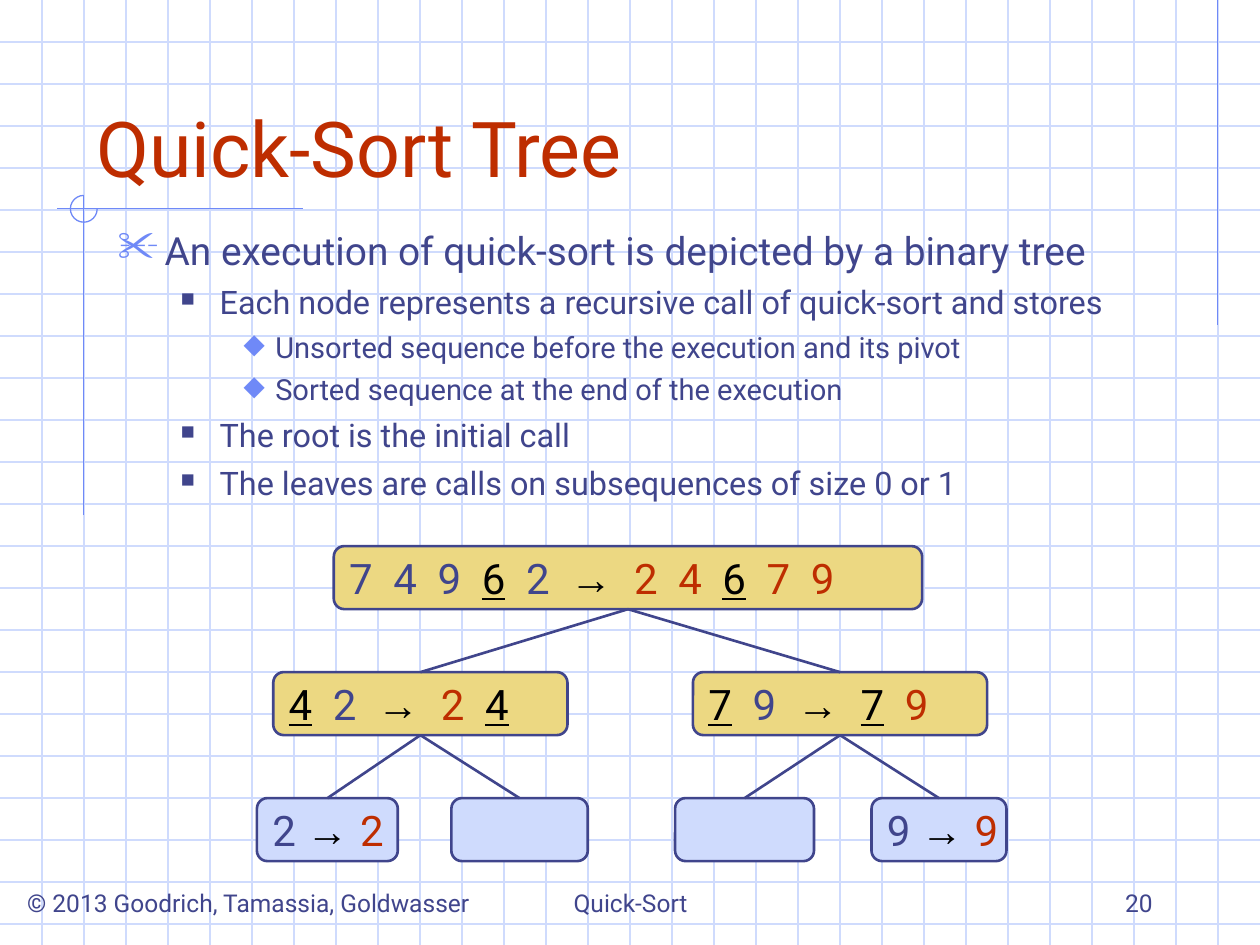
from lxml import etree
from pptx import Presentation
from pptx.dml.color import RGBColor
from pptx.enum.shapes import MSO_CONNECTOR, MSO_SHAPE
from pptx.enum.text import MSO_ANCHOR, PP_ALIGN
from pptx.oxml.ns import qn
from pptx.util import Cm, Pt

STRAIGHT = MSO_CONNECTOR.STRAIGHT
ROUNDED, ARC = MSO_SHAPE.ROUNDED_RECTANGLE, MSO_SHAPE.ARC
TOP, MIDDLE, BOTTOM = MSO_ANCHOR.TOP, MSO_ANCHOR.MIDDLE, MSO_ANCHOR.BOTTOM
LEFT, CENTER, RIGHT = PP_ALIGN.LEFT, PP_ALIGN.CENTER, PP_ALIGN.RIGHT

THEME = {
    "font": "Roboto", "arrow_font": "Arial", "bullet_font": "OpenSymbol",
    "title_size": 44, "node_size": 24, "footer_size": 14,
    "text": "40458C", "red": "BE2D00", "pivot": "000000",
    "accent": "6F89F7", "grid": "CFDBFD",
    "inner_node": "ECD882", "leaf_node": "CFDBFD",
}

TITLE = "Quick-Sort Tree"
BULLETS = [  # level, text
    (0, "An execution of quick-sort is depicted by a binary tree"),
    (1, "Each node represents a recursive call of quick-sort and stores"),
    (2, "Unsorted sequence before the execution and its pivot"),
    (2, "Sorted sequence at the end of the execution"),
    (1, "The root is the initial call"),
    (1, "The leaves are calls on subsequences of size 0 or 1"),
]
LEVELS = [  # size pt, space before pt, indent cm, hang cm, bullet, colour, percent
    (22.2, 6, 0.95, 0.95, "✂", THEME["accent"], 110),
    (18.5, 5, 2.06, 0.79, "■", THEME["text"], 60),
    (16.6, 4.5, 3.18, 0.64, "◆", THEME["accent"], 95),
]
FOOTERS = [  # text, box in cm, alignment, anchor, wrap
    ("© 2013 Goodrich, Tamassia, Goldwasser", (0.08, 17.78, 9.86, 0.86), CENTER, TOP, False),
    ("Quick-Sort", (8.69, 17.35, 8.05, 1.27), CENTER, BOTTOM, True),
    ("20", (18.21, 17.35, 5.28, 1.27), RIGHT, BOTTOM, True),
]
NODES = {  # name: parent, depth, left cm, width cm, unsorted, pivot, sorted
    "root": (None, 0, 6.73, 11.86, "74962", "6", "24679"),
    "low": ("root", 1, 5.51, 5.93, "42", "4", "24"),
    "high": ("root", 1, 13.97, 5.93, "79", "7", "79"),
    "low left": ("low", 2, 5.18, 2.84, "2", None, "2"),
    "low right": ("low", 2, 9.1, 2.75, "", None, ""),
    "high left": ("high", 2, 13.61, 2.8, "", None, ""),
    "high right": ("high", 2, 17.57, 2.72, "9", None, "9"),
}
WIDTH, HEIGHT = 25.4, 19.05
GRID_STEP = WIDTH / 30
TREE_TOP, ROW_STEP, NODE_HEIGHT = 11.01, 2.54, 1.27
NODE_GAP = 5.8  # extra points between the numbers of an inner node
RULES = [  # accent lines: x1, y1, x2, y2
    (24.55, 0, 24.55, 6.55),
    (6.1, 4.21, 1.14, 4.21),
    (1.69, 3.94, 1.69, 10.39),
]


def rgb(name):
    return RGBColor.from_string(THEME[name])


def style(font, size, color, name=THEME["font"]):
    font.size, font.name = Pt(size), name
    font.color.rgb = rgb(color)


def add_line(s, x1, y1, x2, y2, color, width=0.75):
    line = s.shapes.add_connector(STRAIGHT, Cm(x1), Cm(y1), Cm(x2), Cm(y2))
    line.line.color.rgb, line.line.width = rgb(color), Pt(width)
    etree.SubElement(line._element.spPr, qn("a:effectLst"))
    return line


def add_background(s):
    for i in range(1, 23):
        add_line(s, 0, i * GRID_STEP, WIDTH, i * GRID_STEP, "grid")
    for i in range(1, 30):
        add_line(s, i * GRID_STEP, 0, i * GRID_STEP, HEIGHT, "grid")
    for rule in RULES:
        add_line(s, *rule, "accent")
    arc = s.shapes.add_shape(ARC, Cm(1.42), Cm(3.94), Cm(0.54), Cm(0.54))
    arc.adjustments[0], arc.adjustments[1] = 0, 162  # three quarters of a turn
    arc.shadow.inherit = False
    arc.fill.background()
    arc.line.color.rgb, arc.line.width = rgb("accent"), Pt(0.75)


def add_title(s):
    sp = s.shapes.title
    s.shapes._spTree.append(sp._element)  # in front of the grid
    sp.left, sp.top, sp.width, sp.height = Cm(1.69), Cm(0.85), Cm(21.59), Cm(3.17)
    tf = sp.text_frame
    tf.text, tf.vertical_anchor = TITLE, BOTTOM
    tf.paragraphs[0].alignment = LEFT
    style(tf.paragraphs[0].runs[0].font, THEME["title_size"], "red")


def add_bullets(s):
    tf = s.shapes.add_textbox(Cm(2.12), Cm(4.45), Cm(22.01), Cm(6.35)).text_frame
    tf.word_wrap = True
    for i, (level, text) in enumerate(BULLETS):
        size, before, indent, hang, char, color, percent = LEVELS[level]
        p = tf.add_paragraph() if i else tf.paragraphs[0]
        p.text, p.level = text, level
        p.space_before = Pt(before if i else 0)
        pPr = p._p.get_or_add_pPr()
        pPr.set("marL", str(Cm(indent)))
        pPr.set("indent", str(-Cm(hang)))
        clr = etree.SubElement(pPr, qn("a:buClr"))
        etree.SubElement(clr, qn("a:srgbClr"), val=color)
        etree.SubElement(pPr, qn("a:buSzPct"), val=str(percent * 1000))
        etree.SubElement(pPr, qn("a:buFont"), typeface=THEME["bullet_font"])
        etree.SubElement(pPr, qn("a:buChar"), char=char)
        style(p.runs[0].font, size, "text")


def add_footers(s):
    for text, box, align, anchor, wrap in FOOTERS:
        tf = s.shapes.add_textbox(*map(Cm, box)).text_frame
        tf.text, tf.word_wrap, tf.vertical_anchor = text, wrap, anchor
        tf.paragraphs[0].alignment = align
        style(tf.paragraphs[0].runs[0].font, THEME["footer_size"], "text")


def write_sequences(p, before, pivot, after):
    """Write 'unsorted → sorted' with the pivot underlined."""
    tokens = [(n, "text") for n in before] + [("→", "pivot")] + [(n, "red") for n in after]
    for i, (token, color) in enumerate(tokens):
        is_arrow, is_pivot = token == "→", token == pivot
        name = THEME["arrow_font" if is_arrow else "font"]
        for text in (token, " ")[:1 if i == len(tokens) - 1 else 2]:
            r = p.add_run()
            r.text = text
            style(r.font, THEME["node_size"], "pivot" if is_pivot else color, name)
            r.font.bold = is_arrow
            r.font.underline = is_pivot and text == token
            if text == " " and pivot:
                r.font._element.set("spc", str(round(NODE_GAP * 100)))


def add_tree(s):
    shapes = {}
    for name, (parent, depth, left, width, before, pivot, after) in NODES.items():
        sp = s.shapes.add_shape(ROUNDED, Cm(left), Cm(TREE_TOP + depth * ROW_STEP),
                                Cm(width), Cm(NODE_HEIGHT))
        sp.shadow.inherit = False
        sp.fill.solid()
        sp.fill.fore_color.rgb = rgb("inner_node" if pivot else "leaf_node")
        sp.line.color.rgb, sp.line.width = rgb("text"), Pt(1.5)
        shapes[name] = sp
        if before:
            tf = sp.text_frame
            tf.word_wrap, tf.vertical_anchor = False, MIDDLE
            tf.paragraphs[0].alignment = LEFT
            write_sequences(tf.paragraphs[0], before, pivot, after)
    for name, (parent, *_) in NODES.items():
        if parent:
            line = add_line(s, 0, 0, 1, 1, "text", 1.5)
            line.begin_connect(shapes[parent], 2)  # bottom centre
            line.end_connect(shapes[name], 0)  # top centre


def main():
    prs = Presentation()
    prs.slide_width, prs.slide_height = Cm(WIDTH), Cm(HEIGHT)
    s = prs.slides.add_slide(prs.slide_layouts[5])
    add_background(s)
    add_footers(s)
    add_title(s)
    add_bullets(s)
    add_tree(s)
    prs.save("out.pptx")


if __name__ == "__main__":
    main()
